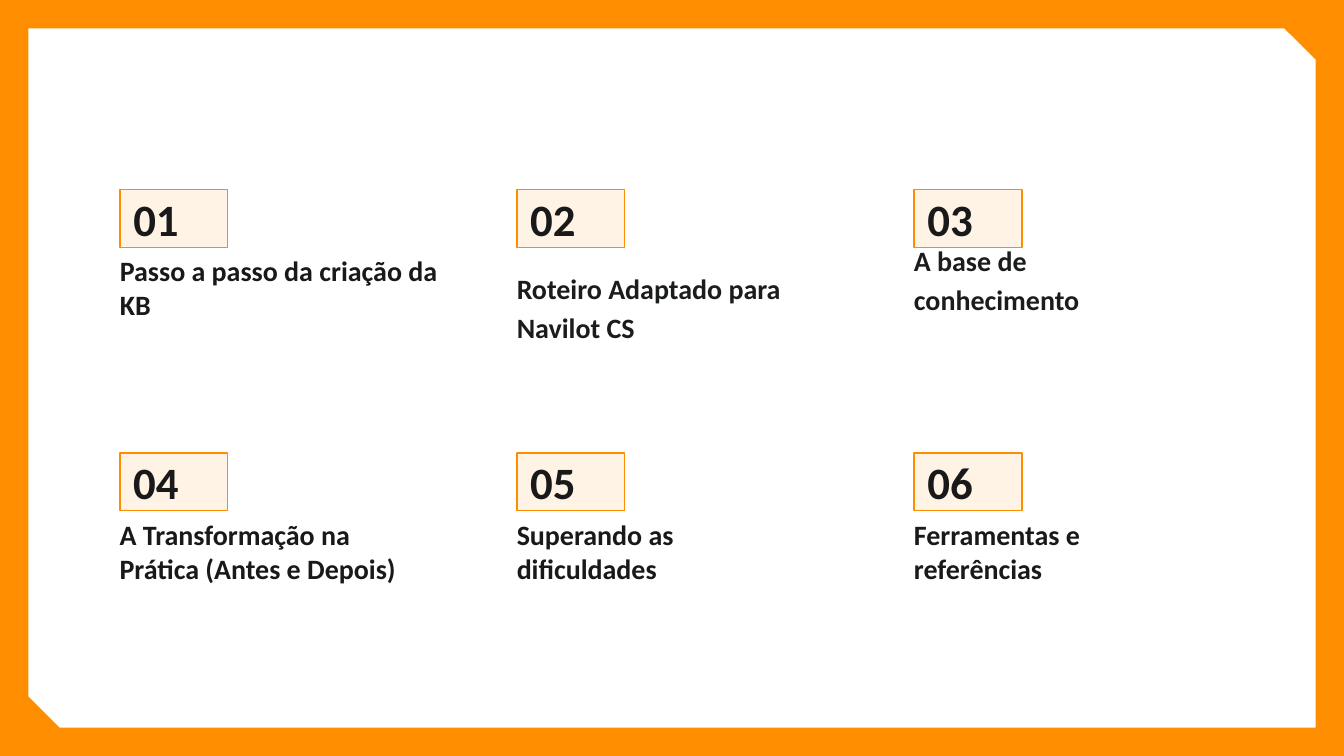
"""Build an agenda slide with six numbered topics in a three-column grid."""
from dataclasses import dataclass

import pptx
import pptx.dml.color
import pptx.enum.shapes
import pptx.enum.text
import pptx.oxml.ns
import pptx.shapes.base
import pptx.slide
import pptx.util
from pptx.dml.color import RGBColor
from pptx.util import Pt

ORANGE = RGBColor(0xFE, 0x8D, 0x00)
CREAM = RGBColor(0xFF, 0xF3, 0xE5)
WHITE = RGBColor(0xFF, 0xFF, 0xFF)
INK = RGBColor(0x19, 0x19, 0x19)
DARK_INK = RGBColor(0x1B, 0x1C, 0x1D)

FONT = "Calibri"
COLUMNS = 3
LEFT, TOP = 64.2, 101.5
COLUMN_PITCH, ROW_PITCH = 212.75, 141.2
BADGE_WIDTH, BADGE_HEIGHT = 57.8, 31
LABEL_DROP = 38.9
INSET = 7.2
MARGIN = 15.2


@dataclass(frozen=True)
class Topic:
    """A topic label and the format of its text box."""
    label: str
    width: float = 162.8
    height: float = 38.9
    color: RGBColor = INK
    line_spacing: float = 1.0
    bottom_inset: float = INSET


TOPICS = (
    Topic("Passo a passo da criação da KB", width=192.2),
    Topic("Roteiro Adaptado para Navilot CS", height=51.1, color=DARK_INK, line_spacing=1.15),
    Topic("A base de conhecimento", height=51.1, color=DARK_INK, line_spacing=1.15,
          bottom_inset=22.2),
    Topic("A Transformação na Prática (Antes e Depois)", width=171.4),
    Topic("Superando as dificuldades"),
    Topic("Ferramentas e referências"),
)


def write_text(shape: pptx.shapes.base.BaseShape, text: str, *, size: float, color: RGBColor,
               anchor: pptx.enum.text.MSO_ANCHOR, line_spacing: float = 1.0,
               bottom_inset: float = INSET) -> None:
    """Write one bold, left-aligned paragraph into a shape."""
    frame = shape.text_frame
    frame.word_wrap = True
    frame.auto_size = pptx.enum.text.MSO_AUTO_SIZE.NONE
    frame.vertical_anchor = anchor
    frame.margin_left = frame.margin_right = frame.margin_top = Pt(INSET)
    frame.margin_bottom = Pt(bottom_inset)
    frame.text = text
    paragraph = frame.paragraphs[0]
    paragraph.alignment = pptx.enum.text.PP_ALIGN.LEFT
    paragraph.line_spacing = line_spacing
    paragraph.space_before = paragraph.space_after = Pt(0)
    properties = paragraph._p.get_or_add_pPr()
    properties.set("marL", "0")
    properties.set("indent", "0")
    properties.append(pptx.oxml.parse_xml(f"<a:buNone {pptx.oxml.ns.nsdecls('a')}/>"))
    font = paragraph.runs[0].font
    font.name = FONT
    font.size = Pt(size)
    font.bold = True
    font.color.rgb = color


def place(shape: pptx.shapes.base.BaseShape, left: float, top: float,
          width: float, height: float) -> None:
    """Set the position and size of a shape in points."""
    shape.left, shape.top, shape.width, shape.height = map(Pt, (left, top, width, height))


def draw_panel(slide: pptx.slide.Slide, width: float, height: float) -> None:
    """Draw the white panel with two snipped corners behind everything else."""
    panel = slide.shapes.add_shape(
        pptx.enum.shapes.MSO_SHAPE.SNIP_2_DIAG_RECTANGLE,
        Pt(MARGIN), Pt(MARGIN), Pt(width - 2 * MARGIN), Pt(height - 2 * MARGIN))
    panel.adjustments[0] = 0
    panel.adjustments[1] = 0.045
    panel.shadow.inherit = False
    panel.fill.solid()
    panel.fill.fore_color.rgb = WHITE
    panel.line.fill.background()
    panel.element.getparent().insert(2, panel.element)


def draw_topic(slide: pptx.slide.Slide, index: int, topic: Topic) -> None:
    """Draw a numbered badge and its label, filling the placeholders with the first topic."""
    row, column = divmod(index, COLUMNS)
    left, top = LEFT + column * COLUMN_PITCH, TOP + row * ROW_PITCH
    if index == 0:
        badge, label = slide.placeholders[0], slide.placeholders[1]
    else:
        badge, label = (slide.shapes.add_textbox(0, 0, 0, 0) for _ in range(2))
    place(badge, left, top, BADGE_WIDTH, BADGE_HEIGHT)
    badge.fill.solid()
    badge.fill.fore_color.rgb = CREAM
    badge.line.color.rgb = ORANGE
    badge.line.width = Pt(0.75)
    write_text(badge, f"{index + 1:02}", size=24, color=INK,
               anchor=pptx.enum.text.MSO_ANCHOR.MIDDLE)
    place(label, left - INSET, top + LABEL_DROP, topic.width, topic.height)
    write_text(label, topic.label, size=15, color=topic.color,
               anchor=pptx.enum.text.MSO_ANCHOR.BOTTOM,
               line_spacing=topic.line_spacing, bottom_inset=topic.bottom_inset)


def main() -> None:
    """Build and save the presentation."""
    presentation = pptx.Presentation()
    presentation.slide_width, presentation.slide_height = Pt(720), Pt(405)
    slide = presentation.slides.add_slide(presentation.slide_layouts[1])
    slide.background.fill.solid()
    slide.background.fill.fore_color.rgb = ORANGE
    draw_panel(slide, 720, 405)
    for index, topic in enumerate(TOPICS):
        draw_topic(slide, index, topic)
    presentation.save("out.pptx")


if __name__ == "__main__":
    main()
